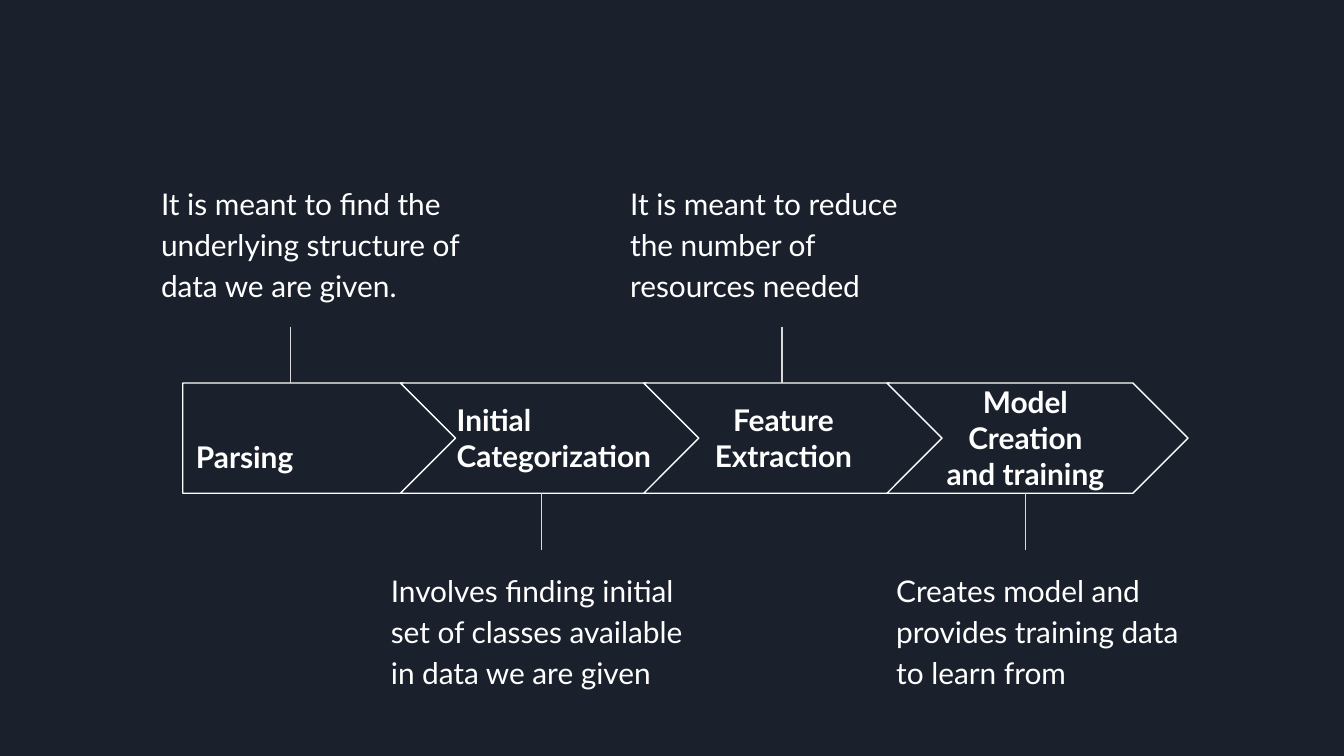
from pptx import Presentation
from pptx.dml.color import RGBColor
from pptx.enum.shapes import MSO_CONNECTOR, MSO_SHAPE
from pptx.enum.text import MSO_ANCHOR, PP_ALIGN
from pptx.oxml.ns import qn
from pptx.util import Inches, Pt
from lxml import etree

NAVY = RGBColor(0x1B, 0x21, 0x2C)
WHITE = RGBColor(0xFF, 0xFF, 0xFF)
GREY = RGBColor(0xD9, 0xD9, 0xD9)
LEFT, CENTER = PP_ALIGN.LEFT, PP_ALIGN.CENTER
TOP, MIDDLE = MSO_ANCHOR.TOP, MSO_ANCHOR.MIDDLE
PENTAGON, CHEVRON = MSO_SHAPE.PENTAGON, MSO_SHAPE.CHEVRON
STRAIGHT = MSO_CONNECTOR.STRAIGHT
FONT = "Lato"

# label, label box, alignment, note, note left, stem x
STEPS = [
    ("Parsing", (1.36, 3.14, 1.59, 0.51), LEFT,
     "It is meant to find the underlying structure of data we are given.", 1.1, 2.16),
    ("Initial Categorization", (3.3, 2.86, 1.76, 0.79), LEFT,
     "Involves finding initial set of classes available in data we are given", 2.81, 4.03),
    ("Feature Extraction", (5.11, 3, 1.44, 0.51), CENTER,
     "It is meant to reduce the number of resources needed", 4.59, 5.82),
    ("Model Creation and training", (6.91, 3, 1.44, 0.51), CENTER,
     "Creates model and provides training data to learn from", 6.57, 7.63),
]
SLIDE_W = 10
SLIDE_H = SLIDE_W * 9 / 16
ARROW_TOP, ARROW_H = 2.85, 0.82
FIRST_LEFT, FIRST_W = 1.36, 2.05
CHEVRON_LEFT, CHEVRON_W, CHEVRON_STEP = 2.98, 2.24, 1.81
NOTE_W, NOTE_H = 2.45, 0.99
NOTE_ABOVE, NOTE_BELOW = 1.24, 4.12
STEM_ABOVE, STEM_BELOW = (2.43, 2.85), (4.09, 3.67)


def add_arrow(s, kind, left, width):
    sp = s.shapes.add_shape(kind, Inches(left), Inches(ARROW_TOP),
                            Inches(width), Inches(ARROW_H))
    sp.adjustments[0] = 0.5
    sp.shadow.inherit = False
    sp.fill.solid()
    sp.fill.fore_color.rgb = NAVY
    sp.line.color.rgb = WHITE
    sp.line.width = Pt(0.75)


def add_text(s, text, box, align=LEFT, anchor=TOP, bold=False):
    tf = s.shapes.add_textbox(*map(Inches, box)).text_frame
    tf.word_wrap = True
    tf.vertical_anchor = anchor
    tf.margin_left = tf.margin_right = Inches(0.1)
    tf.margin_top = tf.margin_bottom = Inches(0.1)
    p = tf.paragraphs[0]
    p.text = text
    p.alignment = align
    font = p.runs[0].font
    font.name, font.size, font.bold = FONT, Pt(16), bold
    font.color.rgb = WHITE
    return p


def add_stem(s, x, start, end):
    line = s.shapes.add_connector(STRAIGHT, Inches(x), Inches(start),
                                  Inches(x), Inches(end))
    line.line.color.rgb = GREY
    line.line.width = Pt(0.75)
    etree.SubElement(line._element.spPr, qn("a:effectLst"))


def main():
    prs = Presentation()
    prs.slide_width, prs.slide_height = Inches(SLIDE_W), Inches(SLIDE_H)
    s = prs.slides.add_slide(prs.slide_layouts[6])
    s.background.fill.solid()
    s.background.fill.fore_color.rgb = NAVY

    for i, (label, label_box, align, note, note_left, stem_x) in enumerate(STEPS):
        if i == 0:
            add_arrow(s, PENTAGON, FIRST_LEFT, FIRST_W)
        else:
            add_arrow(s, CHEVRON, CHEVRON_LEFT + (i - 1) * CHEVRON_STEP, CHEVRON_W)
        add_text(s, label, label_box, align, MIDDLE, bold=True)

        above = i % 2 == 0
        add_stem(s, stem_x, *(STEM_ABOVE if above else STEM_BELOW))
        note_top = NOTE_ABOVE if above else NOTE_BELOW
        p = add_text(s, note, (note_left, note_top, NOTE_W, NOTE_H))
        p.line_spacing = 1.15
        p.space_after = Pt(16)

    prs.save("out.pptx")


if __name__ == "__main__":
    main()
